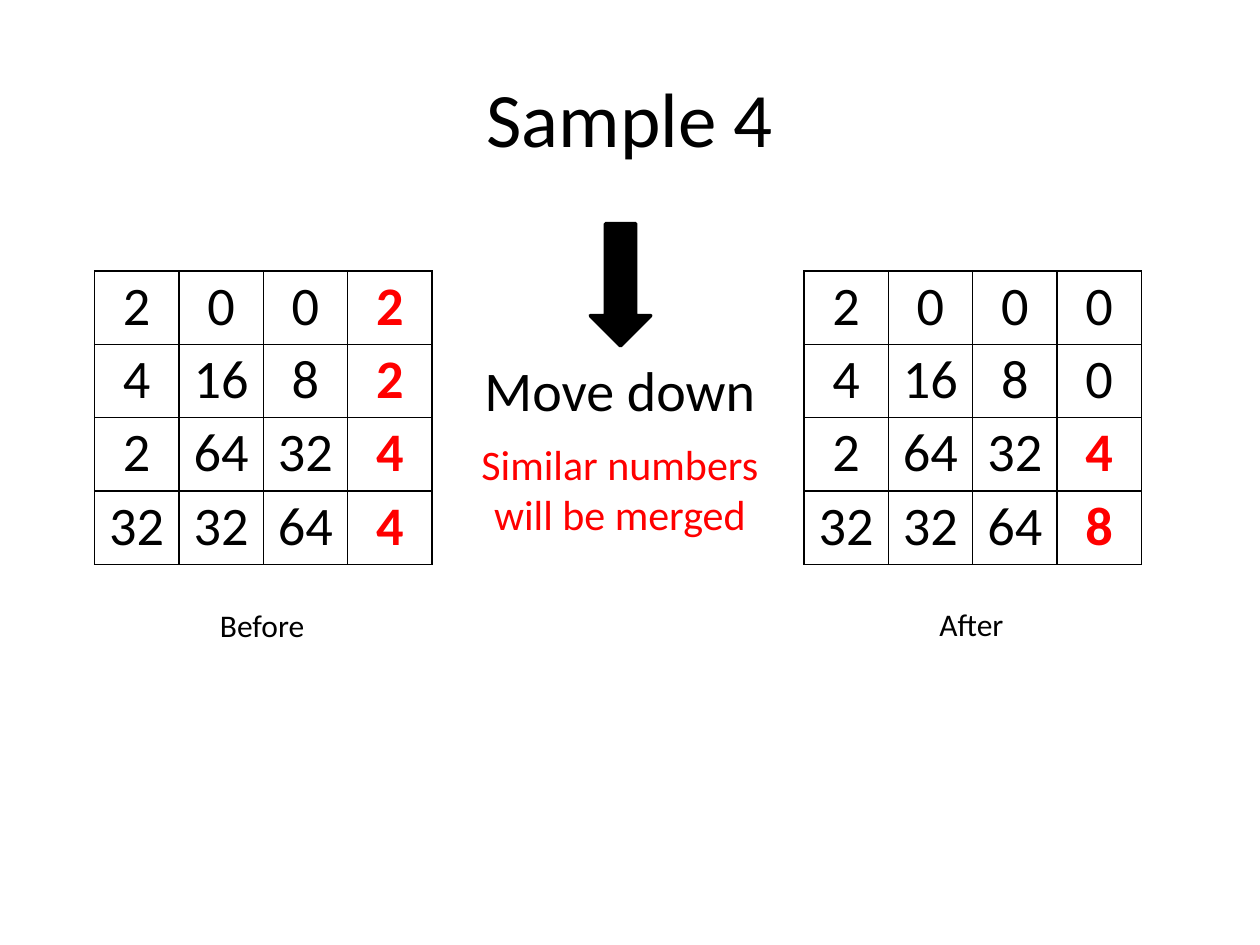
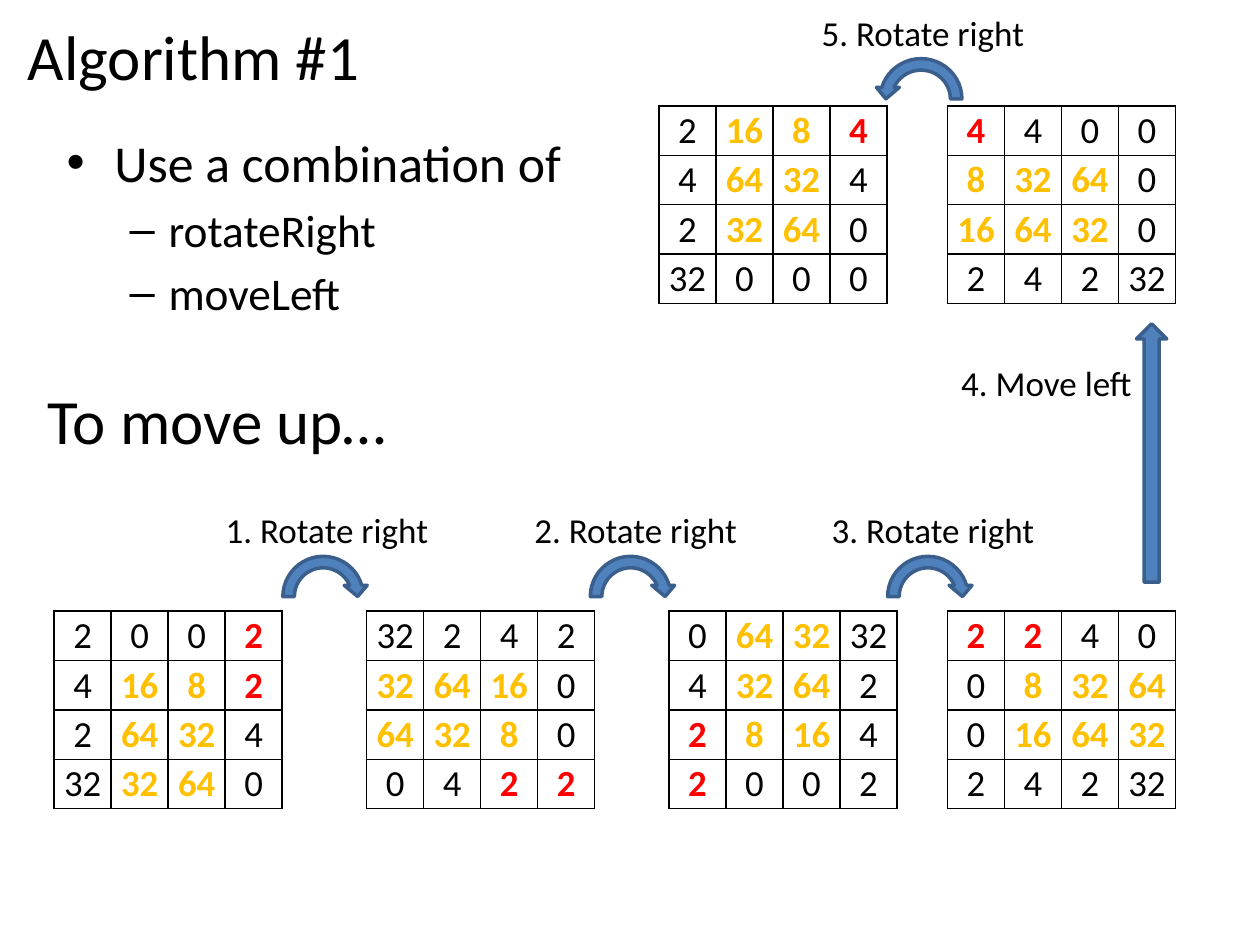
from typing import NamedTuple

from lxml.etree import SubElement
from pptx import Presentation
from pptx.dml.color import RGBColor
from pptx.enum.shapes import MSO_SHAPE as Preset
from pptx.enum.text import MSO_ANCHOR as Anchor, MSO_AUTO_SIZE as AutoSize, PP_ALIGN as Align
from pptx.oxml.ns import qn
from pptx.util import Inches, Pt

FONT = "Calibri"
COLORS = {
    "black": "000000",
    "red": "FF0000",
    "amber": "FFC000",
    "blue": "4F81BD",
    "navy": "3A5F8C",
}
MARKS = {"*": "red", "~": "amber"}  # prefix of a highlighted tile

Grid = list[list[str]]


class Box(NamedTuple):
    left: float
    top: float
    width: float
    height: float

    def lengths(self) -> list[int]:
        return [Inches(value) for value in self]


class Label(NamedTuple):
    text: str
    box: Box
    size: float = 20
    color: str = "black"
    align: Align = Align.CENTER


class Arrow(NamedTuple):
    preset: Preset
    box: Box
    fill: str = "blue"
    line: str = "navy"
    rotation: float = 0
    mirrored: bool = False


class Board(NamedTuple):
    grid: Grid
    left: float
    top: float


class BoardStyle(NamedTuple):
    width: float
    height: float
    font_size: float
    side_margin: float


class Bullet(NamedTuple):
    text: str
    symbol: str
    size: float
    indent: float
    hanging: float
    space_before: float


def rgb(color: str) -> RGBColor:
    return RGBColor.from_string(COLORS[color])


def write(paragraph, text: str, *, size: float, color: str = "black",
          bold: bool = False, align: Align = Align.LEFT) -> None:
    paragraph.alignment = align
    run = paragraph.add_run()
    run.text = text
    font = run.font
    font.name, font.size, font.bold = FONT, Pt(size), bold
    font.color.rgb = rgb(color)


def add_title(slide, label: Label, anchor: Anchor) -> None:
    title = slide.shapes.title
    title.left, title.top, title.width, title.height = label.box.lengths()
    frame = title.text_frame
    frame.auto_size = AutoSize.NONE
    frame.vertical_anchor = anchor
    write(frame.paragraphs[0], label.text, size=label.size, align=label.align)


def add_frame(slide, box: Box):
    frame = slide.shapes.add_textbox(*box.lengths()).text_frame
    frame.word_wrap = True
    return frame


def add_label(slide, label: Label) -> None:
    write(add_frame(slide, label.box).paragraphs[0], label.text, size=label.size,
          color=label.color, align=label.align)


def add_bullets(slide, box: Box, bullets: list[Bullet]) -> None:
    frame = add_frame(slide, box)
    for index, bullet in enumerate(bullets):
        paragraph = frame.add_paragraph() if index else frame.paragraphs[0]
        properties = paragraph._p.get_or_add_pPr()
        properties.set("marL", str(Inches(bullet.indent)))
        properties.set("indent", str(-Inches(bullet.hanging)))
        SubElement(properties, qn("a:buFont"), typeface="Arial")
        SubElement(properties, qn("a:buChar"), char=bullet.symbol)
        paragraph.space_before = Pt(bullet.space_before)
        write(paragraph, bullet.text, size=bullet.size)


def add_arrow(slide, arrow: Arrow) -> None:
    shape = slide.shapes.add_shape(arrow.preset, *arrow.box.lengths())
    shape.shadow.inherit = False
    shape.rotation = arrow.rotation
    shape.fill.solid()
    shape.fill.fore_color.rgb = rgb(arrow.fill)
    shape.line.color.rgb = rgb(arrow.line)
    shape.line.width = Pt(2)
    if arrow.mirrored:
        shape._element.spPr.find(qn("a:xfrm")).set("flipH", "1")


def outline(cell) -> None:
    properties = cell._tc.get_or_add_tcPr()
    for side in "LRTB":
        border = SubElement(properties, qn(f"a:ln{side}"), w=str(Pt(1)))
        fill = SubElement(border, qn("a:solidFill"))
        SubElement(fill, qn("a:srgbClr"), val=COLORS["black"])


def add_board(slide, board: Board, style: BoardStyle) -> None:
    box = Box(board.left, board.top, style.width, style.height)
    table = slide.shapes.add_table(
        len(board.grid), len(board.grid[0]), *box.lengths()).table
    table.first_row = table.horz_banding = False
    for row, tiles in enumerate(board.grid):
        for column, tile in enumerate(tiles):
            cell = table.cell(row, column)
            cell.margin_left = cell.margin_right = Inches(style.side_margin)
            cell.margin_top, cell.margin_bottom = Inches(0.02), Inches(0.01)
            outline(cell)
            cell.fill.background()
            write(cell.text_frame.paragraphs[0], tile.lstrip("*~"),
                  size=style.font_size, color=MARKS.get(tile[0], "black"),
                  bold=tile[0] in MARKS, align=Align.CENTER)


def parse_grid(rows: str) -> Grid:
    return [row.split() for row in rows.split("/")]


def rotate_right(grid: Grid) -> Grid:
    return [list(column) for column in zip(*reversed(grid))]


def build_sample(slide) -> None:
    add_title(slide, Label("Sample 4", Box(0.5, 0.3, 9, 1.25), 44), Anchor.MIDDLE)
    style = BoardStyle(2.68, 2.33, font_size=31, side_margin=0.05)
    before = parse_grid("2 0 0 *2 / 4 16 8 *2 / 2 64 32 *4 / 32 32 64 *4")
    after = parse_grid("2 0 0 0 / 4 16 8 0 / 2 64 32 *4 / 32 32 64 *8")
    for board in (Board(before, 0.75, 2.15), Board(after, 6.38, 2.15)):
        add_board(slide, board, style)
    add_arrow(slide, Arrow(Preset.RIGHT_ARROW, Box(4.44, 2.02, 0.97, 0.48),
                           "black", "black", rotation=90))
    for label in (
        Label("Move down", Box(3.72, 2.77, 2.4, 0.64), 32),
        Label("Similar numbers will be merged", Box(3.58, 3.43, 2.68, 0.91), 24, "red"),
        Label("Before", Box(0.94, 4.76, 2.28, 0.4), 18),
        Label("After", Box(6.57, 4.75, 2.28, 0.4), 18),
    ):
        add_label(slide, label)


def build_algorithm(slide) -> None:
    add_title(slide, Label("Algorithm #1", Box(0.12, 0.09, 9.88, 0.71), 36,
                           align=Align.LEFT), Anchor.TOP)
    add_bullets(slide, Box(0.43, 0.99, 4.2, 1.97), [
        Bullet("Use a combination of", "•", 29.6, 0.38, 0.38, 0),
        Bullet("rotateRight", "–", 25.9, 0.81, 0.31, 5),
        Bullet("moveLeft", "–", 25.9, 0.81, 0.31, 5),
    ])

    lower, upper = 4.85, 0.84
    start = parse_grid("2 0 0 *2 / 4 ~16 ~8 *2 / 2 ~64 ~32 4 / 32 ~32 ~64 0")
    once = rotate_right(start)
    twice = rotate_right(once)
    thrice = rotate_right(twice)
    moved = parse_grid("*4 4 0 0 / ~8 ~32 ~64 0 / ~16 ~64 ~32 0 / 2 4 2 32")
    style = BoardStyle(1.81, 1.57, font_size=21, side_margin=0.03)
    for board in (
        Board(start, 0.43, lower),
        Board(once, 2.91, lower),
        Board(twice, 5.31, lower),
        Board(thrice, 7.52, lower),
        Board(moved, 7.52, upper),
        Board(rotate_right(moved), 5.23, upper),
    ):
        add_board(slide, board, style)

    for label in (
        Label("To move up…", Box(0.28, 2.98, 4.57, 0.71), 36, align=Align.LEFT),
        Label("1. Rotate right", Box(1.61, 3.99, 1.97, 0.44)),
        Label("2. Rotate right", Box(4.06, 3.99, 1.97, 0.44)),
        Label("3. Rotate right", Box(6.5, 3.99, 1.81, 0.44)),
        Label("4. Move left", Box(7.52, 2.82, 1.57, 0.44)),
        Label("5. Rotate right", Box(6.34, 0.04, 1.97, 0.44)),
    ):
        add_label(slide, label)

    turns = [Arrow(Preset.CIRCULAR_ARROW, Box(left, lower - 0.48, 0.73, 0.73))
             for left in (2.2, 4.64, 7)]
    for arrow in (
        *turns,
        Arrow(Preset.UP_ARROW, Box(9.02, 2.57, 0.24, 2.05)),
        Arrow(Preset.CIRCULAR_ARROW, Box(6.94, upper - 0.42, 0.74, 0.73), mirrored=True),
    ):
        add_arrow(slide, arrow)


def main() -> None:
    presentation = Presentation()
    presentation.slide_width, presentation.slide_height = Inches(10), Inches(7.5)
    title_only = presentation.slide_layouts[5]
    for build in (build_sample, build_algorithm):
        build(presentation.slides.add_slide(title_only))
    presentation.save("out.pptx")


if __name__ == "__main__":
    main()
